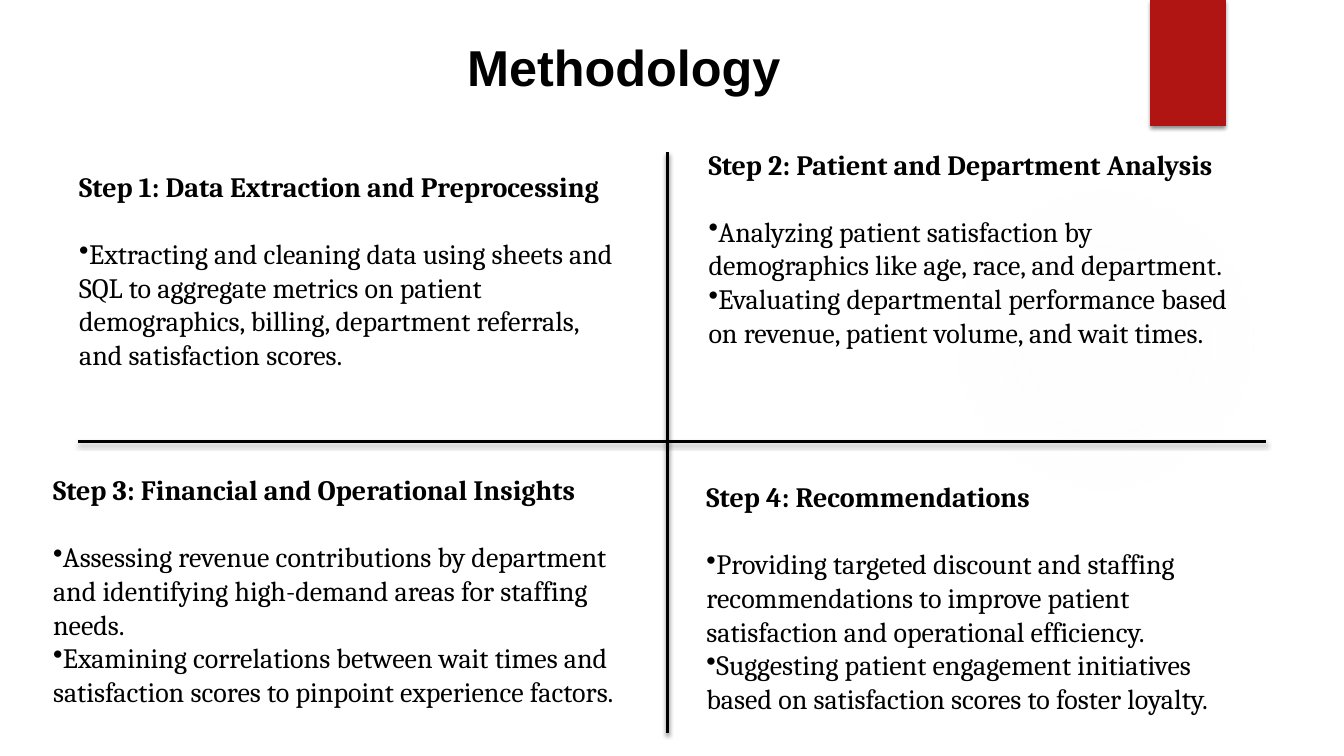
"""Build the Methodology slide: four steps in quadrants around a cross."""
from dataclasses import dataclass

from lxml import etree
from pptx import Presentation
from pptx.dml.color import RGBColor
from pptx.enum import shapes, text
from pptx.oxml import ns, parse_xml
from pptx.util import Pt


@dataclass(frozen=True)
class Theme:
    ink: str = "000000"
    accent: str = "B01513"
    glow: str = "F3F3F3"
    title_font: str = "Arial"
    body_font: str = "Cambria"
    title_size: int = 36
    body_size: int = 20
    rule_width: float = 2.25


theme = Theme()


def add_text(para, words, *, font=theme.body_font, size=theme.body_size,
             bold=False, bullet=False, after=0, align=text.PP_ALIGN.LEFT):
    """Put formatted words into a paragraph."""
    para.alignment = align
    para.space_after = Pt(after)
    if bullet:
        props = para._p.get_or_add_pPr()
        props.set("marL", "0")
        props.set("indent", "0")
        etree.SubElement(props, ns.qn("a:buChar")).set("char", "•")
    span = para.add_run()
    span.text = words
    span.font.name = font
    span.font.size = Pt(size)
    span.font.bold = bold
    span.font.color.rgb = RGBColor.from_string(theme.ink)


def add_shadow(item):
    """Drop a soft shadow straight below a shape or line."""
    props = item._element.spPr
    for effects in props.findall(ns.qn("a:effectLst")):
        props.remove(effects)
    props.append(parse_xml(
        f'<a:effectLst {ns.nsdecls("a")}>'
        '<a:outerShdw blurRad="38100" dist="25400" dir="5400000" rotWithShape="0">'
        f'<a:srgbClr val="{theme.ink}"><a:alpha val="45000"/></a:srgbClr>'
        '</a:outerShdw></a:effectLst>'))


deck = Presentation()
deck.slide_width, deck.slide_height = Pt(960), Pt(540)
page = deck.slides.add_slide(deck.slide_layouts[6])

glow = page.shapes.add_shape(shapes.MSO_SHAPE.OVAL, Pt(677.5), Pt(131.8), Pt(221.8), Pt(221.8))
glow.shadow.inherit = False
glow.line.fill.background()
glow.fill.background()
stops = "".join(
    f'<a:gs pos="{place * 1000}"><a:srgbClr val="{theme.glow}">'
    f'<a:alpha val="{alpha * 1000}"/></a:srgbClr></a:gs>'
    for place, alpha in ((0, 7), (36, 6), (69, 0)))
glow_props = glow._element.spPr
glow_props.replace(glow_props.find(ns.qn("a:noFill")), parse_xml(
    f'<a:gradFill {ns.nsdecls("a")} rotWithShape="1"><a:gsLst>{stops}</a:gsLst>'
    '<a:path path="circle"><a:fillToRect l="50000" t="50000" r="50000" b="50000"/>'
    '</a:path></a:gradFill>'))

ribbon = page.shapes.add_shape(shapes.MSO_SHAPE.RECTANGLE, Pt(821.6), 0, Pt(54), Pt(90))
ribbon.fill.solid()
ribbon.fill.fore_color.rgb = RGBColor.from_string(theme.accent)
ribbon.line.fill.background()
add_shadow(ribbon)

title = page.shapes.add_textbox(Pt(248.4), Pt(16.6), Pt(394.6), Pt(61.9)).text_frame
title.word_wrap = True
title.vertical_anchor = text.MSO_ANCHOR.MIDDLE
add_text(title.paragraphs[0], "Methodology", font=theme.title_font,
         size=theme.title_size, bold=True, align=text.PP_ALIGN.CENTER)

for ends in ((476.6, 108.7, 476.6, 523.4), (904.3, 315.4, 55.4, 315.4)):
    rule = page.shapes.add_connector(shapes.MSO_CONNECTOR.STRAIGHT, *map(Pt, ends))
    rule.line.color.rgb = RGBColor.from_string(theme.ink)
    rule.line.width = Pt(theme.rule_width)
    add_shadow(rule)

steps = (
    ((499, 101.5, 394.6, 200.9), "Step 2: Patient and Department Analysis", (
        "Analyzing patient satisfaction by demographics like age, race, and department.",
        "Evaluating departmental performance based on revenue, patient volume, "
        "and wait times.")),
    ((49.5, 117.4, 403.2, 152.6), "Step 1: Data Extraction and Preprocessing", (
        "Extracting and cleaning data using sheets and SQL to aggregate metrics on "
        "patient demographics, billing, department referrals, and satisfaction scores.",)),
    ((30.8, 334.1, 424.8, 200.9), "Step 3: Financial and Operational Insights", (
        "Assessing revenue contributions by department and identifying high-demand "
        "areas for staffing needs.",
        "Examining correlations between wait times and satisfaction scores to "
        "pinpoint experience factors.")),
    ((497.5, 339.1, 406.8, 177.1), "Step 4: Recommendations", (
        "Providing targeted discount and staffing recommendations to improve "
        "patient satisfaction and operational efficiency.",
        "Suggesting patient engagement initiatives based on satisfaction scores "
        "to foster loyalty.")),
)
for place, heading, points in steps:
    box = page.shapes.add_textbox(*map(Pt, place)).text_frame
    box.word_wrap = True
    add_text(box.paragraphs[0], heading, bold=True, after=24)
    for point in points:
        add_text(box.add_paragraph(), point, bullet=True)

deck.save("out.pptx")
